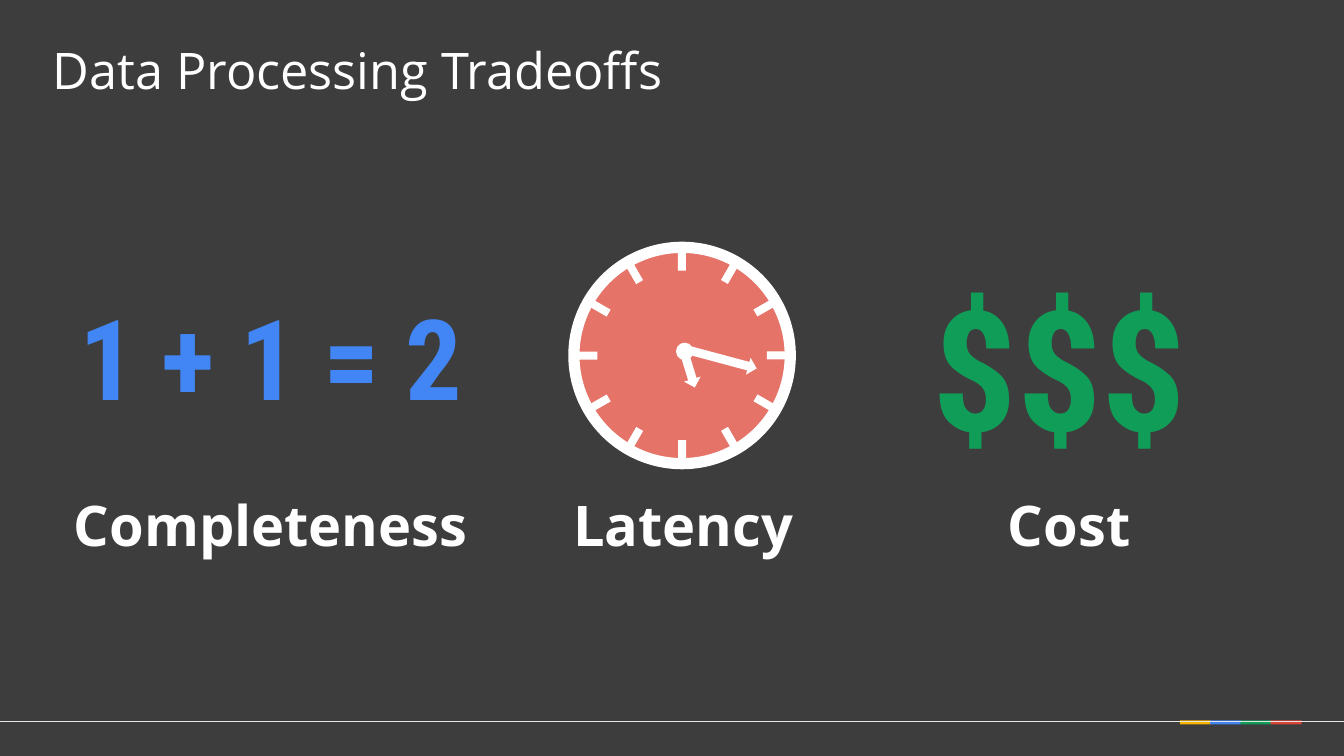
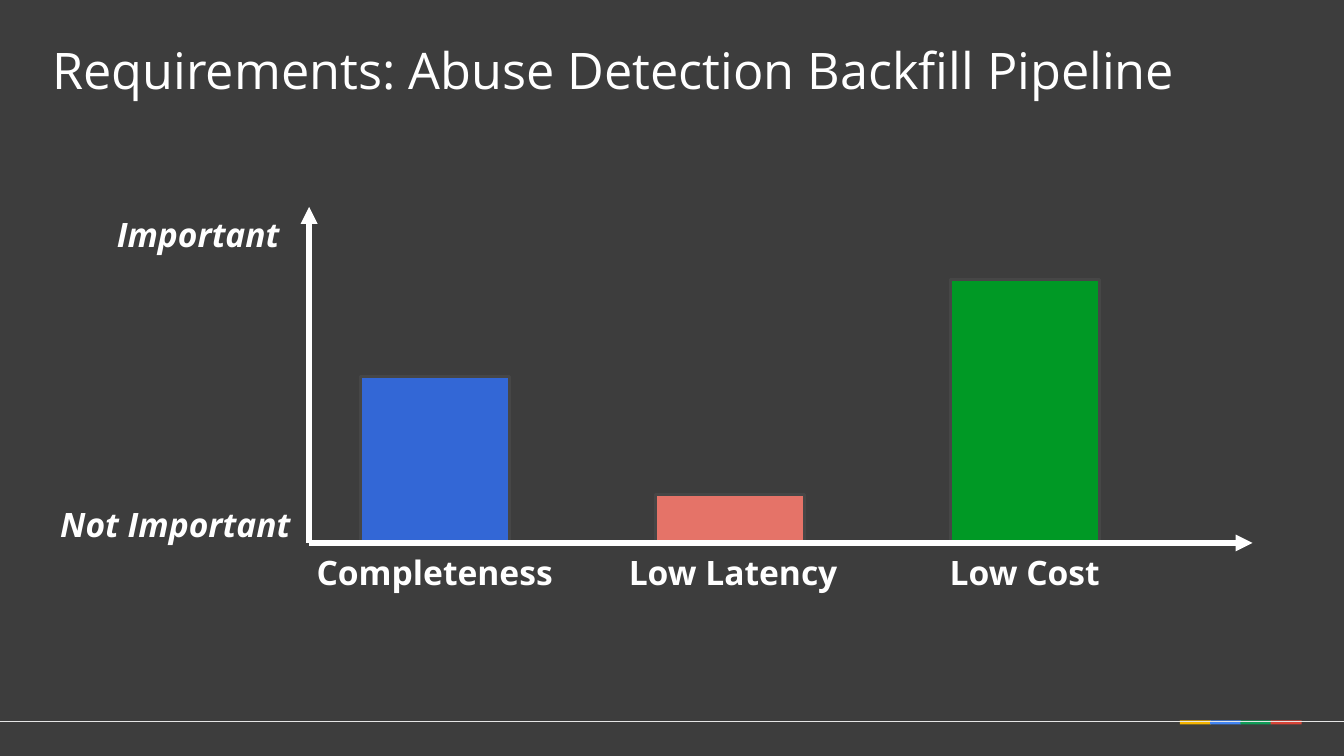
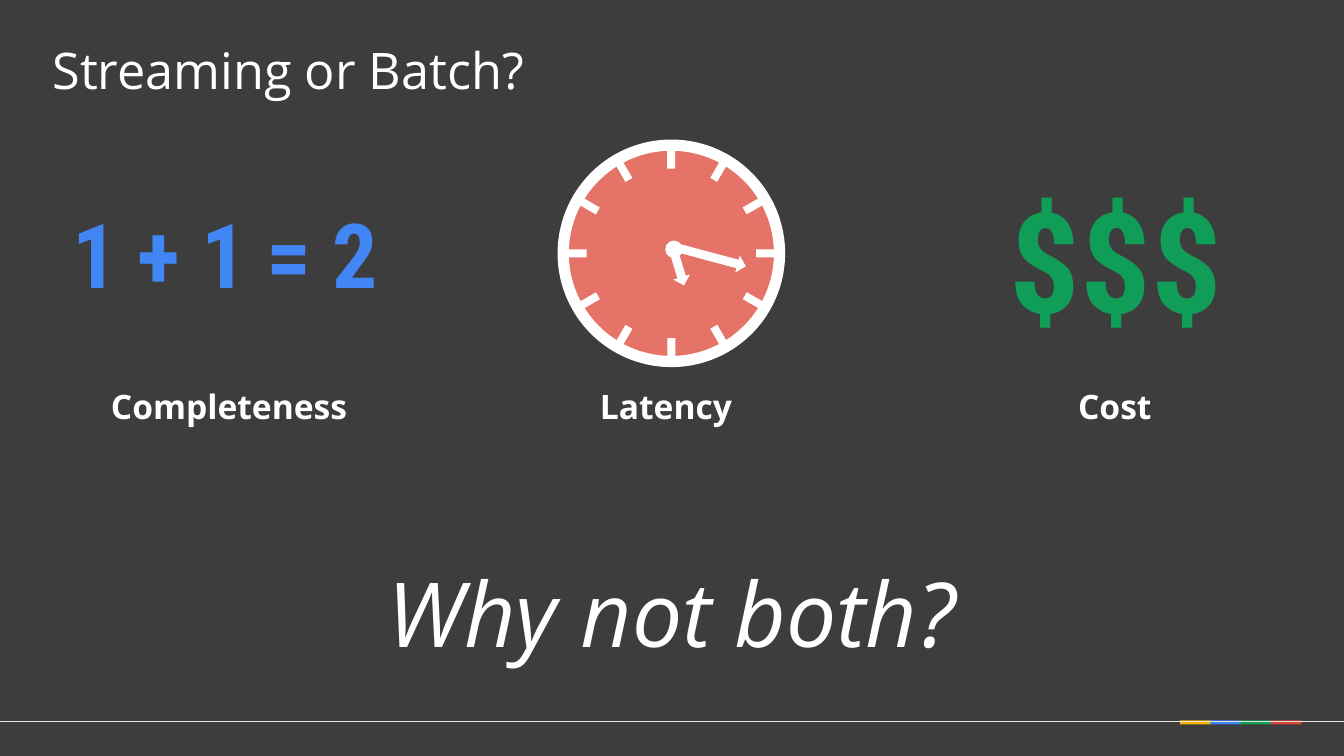
from math import cos, radians, sin

from pptx import Presentation
from pptx.dml.color import RGBColor
from pptx.enum.shapes import MSO_CONNECTOR, MSO_SHAPE
from pptx.enum.text import MSO_ANCHOR, PP_ALIGN
from pptx.oxml.ns import qn
from pptx.util import Inches, Pt
from lxml import etree

RECTANGLE = MSO_SHAPE.RECTANGLE
OVAL = MSO_SHAPE.OVAL
RIGHT_ARROW = MSO_SHAPE.RIGHT_ARROW
STRAIGHT = MSO_CONNECTOR.STRAIGHT
LEFT, CENTER = PP_ALIGN.LEFT, PP_ALIGN.CENTER
TOP, MIDDLE = MSO_ANCHOR.TOP, MSO_ANCHOR.MIDDLE

BACKGROUND = RGBColor(0x3D, 0x3D, 0x3D)
WHITE = RGBColor(0xFF, 0xFF, 0xFF)
RULE_GRAY = RGBColor(0xE6, 0xE6, 0xE6)
OUTLINE_GRAY = RGBColor(0x46, 0x46, 0x46)
YELLOW = RGBColor(0xF4, 0xB4, 0x00)
BLUE = RGBColor(0x42, 0x85, 0xF4)
GREEN = RGBColor(0x0F, 0x9D, 0x58)
RED = RGBColor(0xD8, 0x44, 0x37)
CORAL = RGBColor(0xE5, 0x73, 0x68)
BAR_BLUE = RGBColor(0x33, 0x67, 0xD6)
BAR_GREEN = RGBColor(0x00, 0x99, 0x25)

BODY_FONT = "Open Sans"
FIGURE_FONT = "Roboto Condensed"
COLUMN_WIDTH = 3.15
LABEL_HEIGHT = 0.63


def add_text(slide, text, left, top, width, height, size, font=BODY_FONT, color=WHITE,
             bold=False, italic=False, align=CENTER, anchor=TOP, margin=0.07):
    box = slide.shapes.add_textbox(Inches(left), Inches(top), Inches(width), Inches(height))
    frame = box.text_frame
    frame.word_wrap = True
    frame.vertical_anchor = anchor
    frame.margin_left = frame.margin_right = Inches(0.07)
    frame.margin_top = frame.margin_bottom = Inches(margin)
    para = frame.paragraphs[0]
    para.alignment = align
    span = para.add_run()
    span.text = text
    span.font.name = font
    span.font.size = Pt(size)
    span.font.bold = bold
    span.font.italic = italic
    span.font.color.rgb = color


def add_filled(shapes, kind, left, top, width, height, fill, line=None, weight=0, rotation=0):
    shape = shapes.add_shape(kind, Inches(left), Inches(top), Inches(width), Inches(height))
    shape.shadow.inherit = False
    shape.fill.solid()
    shape.fill.fore_color.rgb = fill
    if line is None:
        shape.line.fill.background()
    else:
        shape.line.color.rgb = line
        shape.line.width = Pt(weight)
    shape.rotation = rotation


def add_line(slide, start, end, color, weight, arrow=False):
    points = [Inches(value) for value in (*start, *end)]
    connector = slide.shapes.add_connector(STRAIGHT, *points)
    connector.line.color.rgb = color
    connector.line.width = Pt(weight)
    if arrow:
        etree.SubElement(connector.get_or_add_ln(), qn("a:tailEnd"), type="triangle")
    etree.SubElement(connector._element.spPr, qn("a:effectLst"))


def add_page(deck, title, title_width=7.48):
    page = deck.slides.add_slide(deck.slide_layouts[6])
    stripes = page.shapes.add_group_shape().shapes
    for index, color in enumerate((YELLOW, BLUE, GREEN, RED)):
        add_filled(stripes, RECTANGLE, 8.78 + index * 0.225, 5.36, 0.23, 0.03, color)
    add_line(page, (10, 5.37), (0, 5.37), RULE_GRAY, 0.75)
    add_text(page, title, 0.32, 0.2, title_width, LABEL_HEIGHT, 27,
             align=LEFT, anchor=MIDDLE, margin=0.04)
    return page


def add_label(page, text, left, top, size, width=COLUMN_WIDTH, italic=False):
    add_text(page, text, left, top, width, LABEL_HEIGHT, size, bold=True, italic=italic)


def add_figure(page, text, left, top, size, color):
    add_text(page, text, left, top, COLUMN_WIDTH, 1.14, size, FIGURE_FONT, color, bold=True)


def add_clock(page, left, top):
    shapes = page.shapes.add_group_shape().shapes
    diameter, tick_radius, tick_width, tick_length = 1.61, 0.71, 0.06, 0.16
    add_filled(shapes, OVAL, left, top, diameter, diameter, CORAL, WHITE, 6)
    center_x, center_y = left + diameter / 2, top + diameter / 2
    for angle in range(0, 360, 30):
        tick_x = center_x + tick_radius * sin(radians(angle))
        tick_y = center_y - tick_radius * cos(radians(angle))
        add_filled(shapes, RECTANGLE, tick_x - tick_width / 2, tick_y - tick_length / 2,
                   tick_width, tick_length, WHITE, rotation=angle)
    add_filled(shapes, RIGHT_ARROW, left + 0.78, top + 0.76, 0.59, 0.13, WHITE, rotation=15)
    add_filled(shapes, RIGHT_ARROW, left + 0.7, top + 0.83, 0.31, 0.13, WHITE, rotation=73.1)
    add_filled(shapes, OVAL, left + 0.76, top + 0.71, 0.13, 0.13, WHITE)


def add_tradeoffs(page, label_lefts, label_top, label_size, sum_place, clock_place, money_place):
    add_figure(page, "1 + 1 = 2", *sum_place, BLUE)
    add_figure(page, "$$$", *money_place, GREEN)
    for text, left in zip(("Completeness", "Latency", "Cost"), label_lefts):
        add_label(page, text, left, label_top, label_size)
    add_clock(page, *clock_place)


def add_importance_diagram(page):
    origin_x, origin_y = 2.3, 4.04
    bars = (
        ("Completeness", 1.66, 1.24, BAR_BLUE),
        ("Low Latency", 3.88, 0.36, CORAL),
        ("Low Cost", 6.05, 1.96, BAR_GREEN),
    )
    add_line(page, (origin_x, origin_y), (origin_x, 1.54), WHITE, 3, arrow=True)
    for index, (text, label_left, height, color) in enumerate(bars):
        add_label(page, text, label_left, origin_y, 18)
        add_filled(page.shapes, RECTANGLE, 2.68 + index * 2.195, origin_y - height,
                   1.11, height, color, OUTLINE_GRAY, 1.5)
    add_line(page, (origin_x, origin_y), (9.32, origin_y), WHITE, 3, arrow=True)
    add_label(page, "Important", 0.5, 1.52, 18, width=1.95, italic=True)
    add_label(page, "Not Important", 0.33, 3.68, 18, width=1.95, italic=True)


def main():
    deck = Presentation()
    deck.slide_width = Inches(10)
    deck.slide_height = deck.slide_width * 9 // 16
    background = deck.slide_master.background.fill
    background.solid()
    background.fore_color.rgb = BACKGROUND

    page = add_page(deck, "Data Processing Tradeoffs")
    add_tradeoffs(page, (0.44, 3.51, 6.38), 3.58, 30,
                  sum_place=(0.44, 2.08, 60), clock_place=(4.27, 1.84),
                  money_place=(6.31, 1.89, 90))

    page = add_page(deck, "Requirements: Abuse Detection Backfill Pipeline", 8.95)
    add_importance_diagram(page)

    page = add_page(deck, "Streaming or Batch?")
    add_tradeoffs(page, (0.13, 3.38, 6.72), 2.8, 18,
                  sum_place=(0.1, 1.41, 48), clock_place=(4.19, 1.08),
                  money_place=(6.73, 1.22, 75))
    add_text(page, "Why not both?", 1.03, 4.08, 7.94, LABEL_HEIGHT, 48, italic=True)

    deck.save("out.pptx")


if __name__ == "__main__":
    main()
